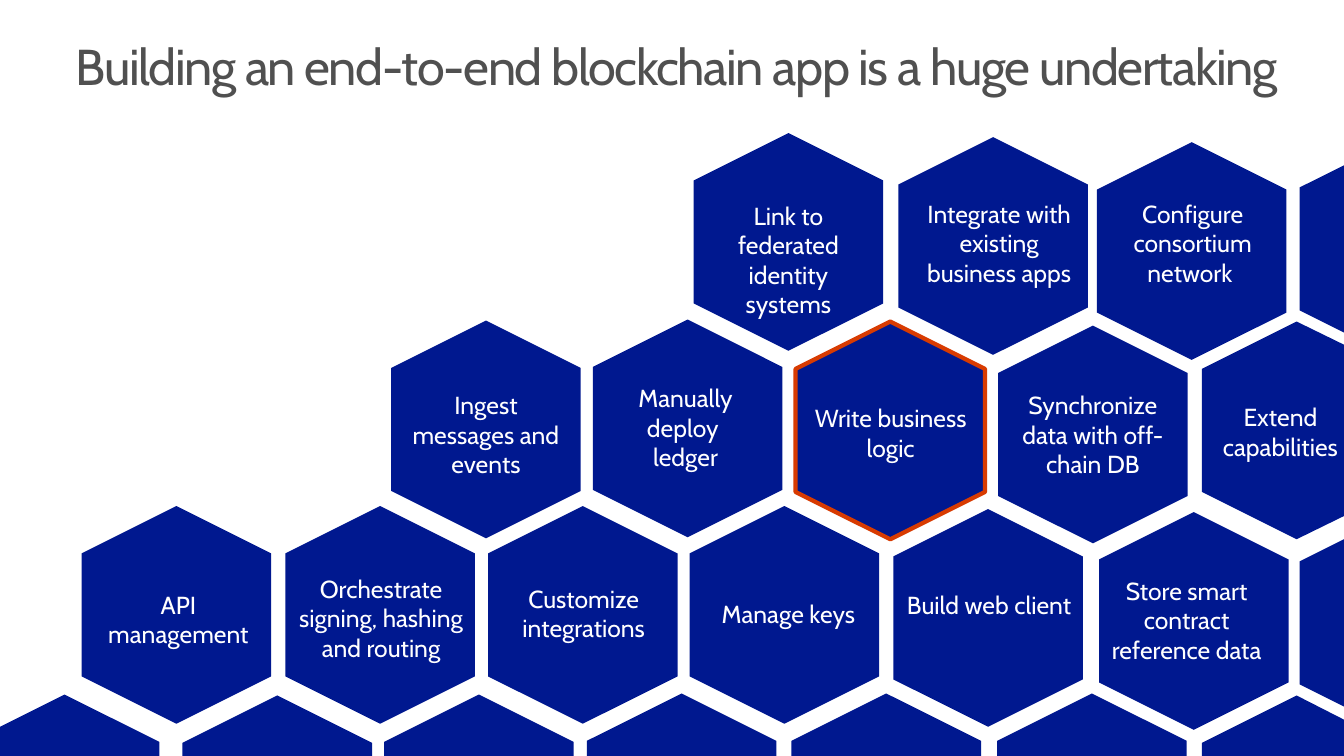
from dataclasses import dataclass

from pptx import Presentation
from pptx.dml.color import RGBColor
from pptx.enum.shapes import MSO_SHAPE
from pptx.enum.text import MSO_ANCHOR, MSO_AUTO_SIZE, PP_ALIGN
from pptx.shapes.base import BaseShape
from pptx.slide import Slide
from pptx.util import Pt

HEXAGON = MSO_SHAPE.HEXAGON
TOP = MSO_ANCHOR.TOP
NO_AUTOSIZE = MSO_AUTO_SIZE.NONE
LEFT = PP_ALIGN.LEFT
CENTER = PP_ALIGN.CENTER

PX = 9144
SLIDE_W, SLIDE_H = 1333, 750
HALF_W, HALF_H, SHOULDER = 94, 108, 61
TEXT_INSET, LINE_H = 8, 30
TITLE_ONLY = 5

FONT = "Cabin"
NAVY = RGBColor(0x00, 0x18, 0x8F)
ORANGE = RGBColor(0xD8, 0x3B, 0x01)
GRAY = RGBColor(0x50, 0x50, 0x50)
WHITE = RGBColor(0xFF, 0xFF, 0xFF)


@dataclass(frozen=True)
class Label:
    text: str
    left: int
    top: int
    lines: int
    width: int = 164


@dataclass(frozen=True)
class Cell:
    x: int
    y: int
    label: Label | None = None
    highlighted: bool = False


CELLS = [
    Cell(782, 240, Label("Link to federated identity systems", 700, 191, 4)),
    Cell(985, 244, Label("Integrate with existing business apps", 909, 189, 3)),
    Cell(1182, 249, Label("Configure consortium network ", 1101, 189, 3)),
    Cell(482, 426, Label("Ingest messages and events", 400, 379, 3)),
    Cell(682, 425, Label("Manually deploy \nledger", 598, 372, 3)),
    Cell(883, 427, Label("Write business logic", 792, 392, 2, 183), True),
    Cell(1084, 431, Label("Synchronize data with off-chain DB", 1002, 379, 3)),
    Cell(175, 610, Label("API\nmanagement", 95, 577, 2)),
    Cell(377, 610, Label("Orchestrate signing, hashing and routing", 282, 561, 3, 192)),
    Cell(578, 610, Label("Customize integrations", 497, 571, 2)),
    Cell(778, 610, Label("Manage keys", 700, 586, 1)),
    Cell(980, 613, Label("Build web client", 899, 577, 2)),
    Cell(1184, 616, Label("Store smart contract reference data", 1095, 563, 3)),
]

EDGE_CELLS = [
    Cell(1383, 247),
    Cell(1286, 427, Label("Extend capabilities", 1188, 391, 2)),
    Cell(1383, 618),
    Cell(64, 797),
    Cell(275, 798),
    Cell(475, 797),
    Cell(676, 796),
    Cell(879, 796),
    Cell(1083, 796),
    Cell(1286, 798),
]

Point = tuple[float, float]


def clip(points: list[Point], axis: int, limit: int, sign: int) -> list[Point]:
    kept: list[Point] = []
    for start, end in zip(points, points[1:] + points[:1]):
        start_gap = sign * (limit - start[axis])
        end_gap = sign * (limit - end[axis])
        if start_gap >= 0:
            kept.append(start)
        if start_gap * end_gap < 0:
            share = start_gap / (start_gap - end_gap)
            kept.append((start[0] + share * (end[0] - start[0]),
                         start[1] + share * (end[1] - start[1])))
    return kept


def paint(hexagon: BaseShape, highlighted: bool) -> None:
    hexagon.shadow.inherit = False
    hexagon.fill.solid()
    hexagon.fill.fore_color.rgb = NAVY
    if highlighted:
        hexagon.line.color.rgb = ORANGE
        hexagon.line.width = Pt(3)
    else:
        hexagon.line.fill.background()


def add_label(slide: Slide, label: Label) -> None:
    height = TEXT_INSET + LINE_H * label.lines
    box = slide.shapes.add_textbox(
        label.left * PX, label.top * PX, label.width * PX, height * PX)
    frame = box.text_frame
    frame.word_wrap = True
    frame.margin_left = frame.margin_right = frame.margin_bottom = 0
    frame.margin_top = TEXT_INSET * PX
    frame.text = label.text
    for paragraph in frame.paragraphs:
        paragraph.alignment = CENTER
        paragraph.font.name = FONT
        paragraph.font.size = Pt(17.6)
        paragraph.font.color.rgb = WHITE


def add_cell(slide: Slide, cell: Cell) -> None:
    hexagon = slide.shapes.add_shape(
        HEXAGON, (cell.x - HALF_H) * PX, (cell.y - HALF_W) * PX,
        2 * HALF_H * PX, 2 * HALF_W * PX)
    hexagon.rotation = 270
    paint(hexagon, cell.highlighted)
    if cell.label:
        add_label(slide, cell.label)


def add_edge_cell(slide: Slide, cell: Cell) -> None:
    corners = [(0, -HALF_H), (HALF_W, -SHOULDER), (HALF_W, SHOULDER),
               (0, HALF_H), (-HALF_W, SHOULDER), (-HALF_W, -SHOULDER)]
    outline: list[Point] = [(cell.x + dx, cell.y + dy) for dx, dy in corners]
    for axis, limit, sign in ((0, 0, -1), (0, SLIDE_W, 1), (1, SLIDE_H, 1)):
        outline = clip(outline, axis, limit, sign)
    first, *rest = [(round(x), round(y)) for x, y in outline]
    builder = slide.shapes.build_freeform(*first, scale=PX)
    builder.add_line_segments(rest, close=True)
    paint(builder.convert_to_shape(), cell.highlighted)
    if cell.label:
        add_label(slide, cell.label)


def set_title(slide: Slide, text: str) -> None:
    title = slide.shapes.title
    title.left, title.top = 59 * PX, 32 * PX
    title.width, title.height = 1274 * PX, 121 * PX
    frame = title.text_frame
    frame.text = text
    frame.word_wrap = True
    frame.auto_size = NO_AUTOSIZE
    frame.vertical_anchor = TOP
    frame.margin_left = frame.margin_right = 16 * PX
    frame.margin_top = frame.margin_bottom = 10 * PX
    heading = frame.paragraphs[0]
    heading.alignment = LEFT
    heading.line_spacing = 0.9
    heading.font.name = FONT
    heading.font.size = Pt(36)
    heading.font.color.rgb = GRAY
    heading.runs[0]._r.get_or_add_rPr().set("spc", "-100")


def main() -> None:
    deck = Presentation()
    deck.slide_width, deck.slide_height = SLIDE_W * PX, SLIDE_H * PX
    slide = deck.slides.add_slide(deck.slide_layouts[TITLE_ONLY])
    set_title(slide, "Building an end-to-end blockchain app is a huge undertaking")
    for cell in EDGE_CELLS:
        add_edge_cell(slide, cell)
    for cell in CELLS:
        add_cell(slide, cell)
    deck.save("out.pptx")


if __name__ == "__main__":
    main()
